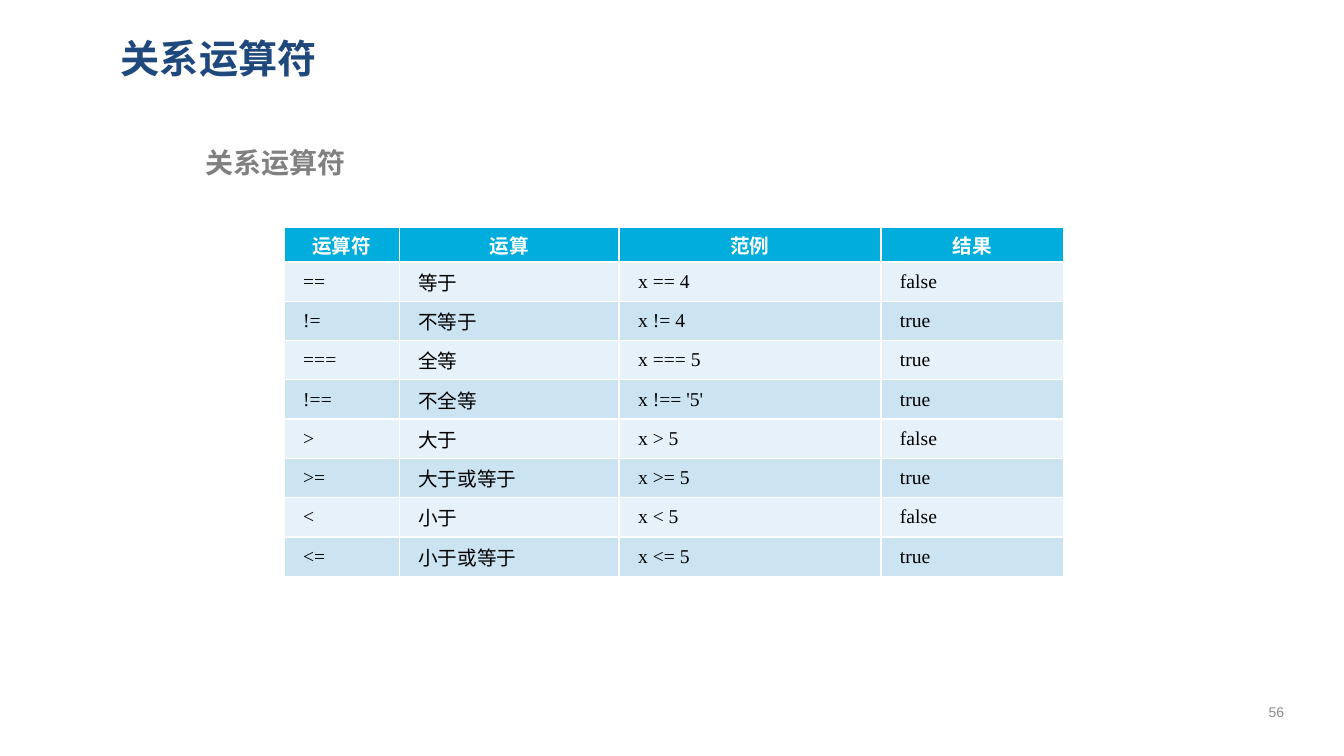
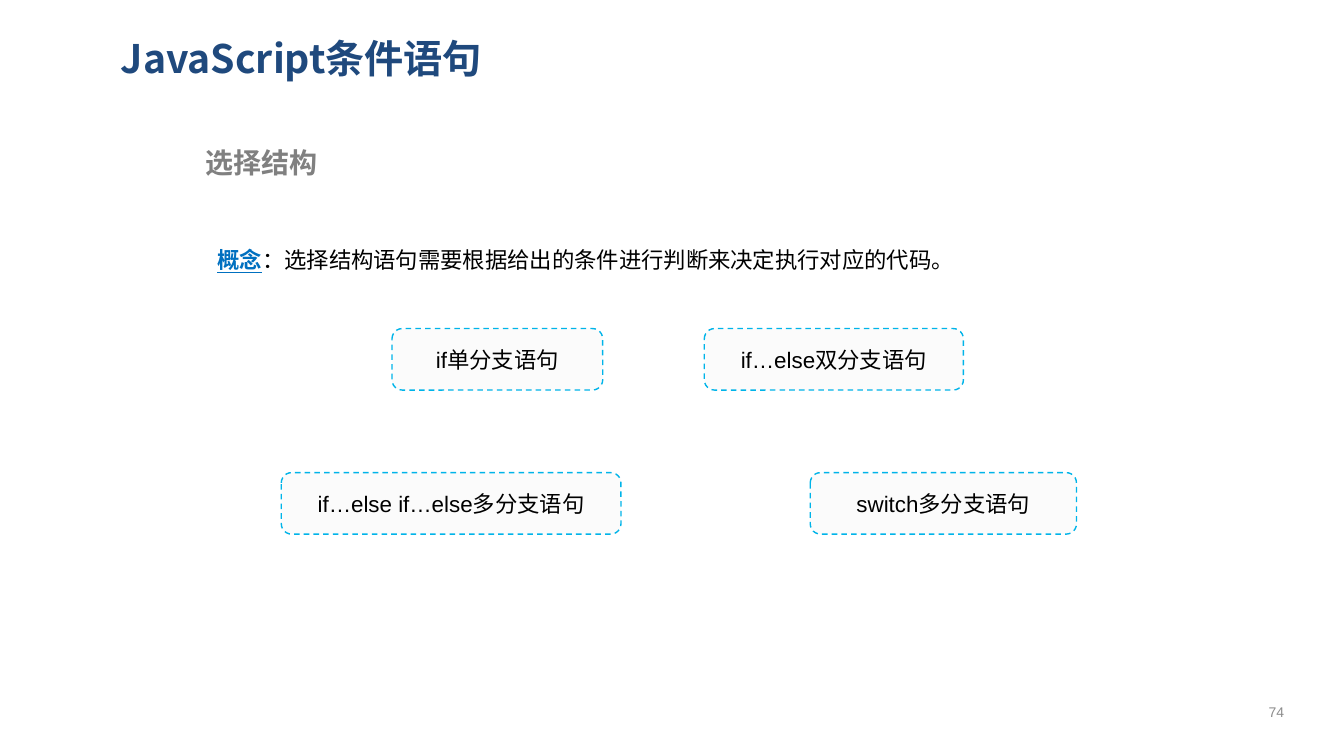
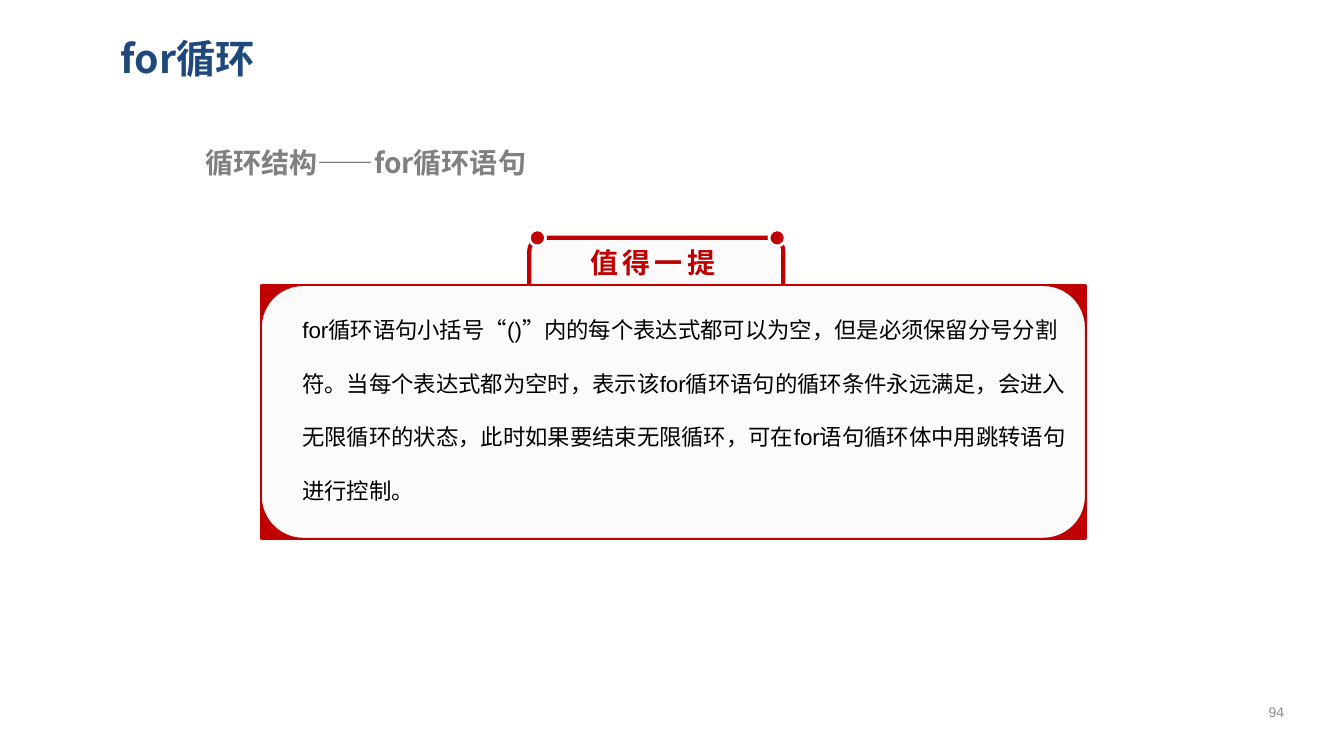
"""Build three lecture slides on operators, branches and loops."""
from dataclasses import dataclass
from typing import Optional

from lxml import etree
from pptx import Presentation
from pptx import util as u
from pptx.dml.color import RGBColor
from pptx.enum import dml, shapes, text
from pptx.oxml.ns import qn

SANS, ARIAL, TIMES = "Noto Sans CJK SC", "Arial", "Times New Roman"
NAVY, GREY, PALE = "1F497D", "808080", "8C8C8C"
WHITE, BLACK, PAPER = "FFFFFF", "000000", "FBFBFB"
CYAN, SKY, BLUE, RED = "00ADDC", "00B4E9", "0070C0", "C00000"
BANDS = ("E7F1F9", "CCE3F2")

KIND = shapes.MSO_SHAPE
ALIGN = text.PP_ALIGN
MID = text.MSO_ANCHOR.MIDDLE

HEADS = ("运算符", "运算", "范例", "结果")
ROWS = (
    ("==", "等于", "x == 4", "false"),
    ("!=", "不等于", "x != 4", "true"),
    ("===", "全等", "x === 5", "true"),
    ("!==", "不全等", "x !== '5'", "true"),
    (">", "大于", "x > 5", "false"),
    (">=", "大于或等于", "x >= 5", "true"),
    ("<", "小于", "x < 5", "false"),
    ("<=", "小于或等于", "x <= 5", "true"),
)
COLS = (2.9, 5.54, 6.6, 4.6)
HEAD_H, ROW_H = 0.86, 0.99

NOTE = (
    "for循环语句小括号“()”内的每个表达式都可以为空，但是必须保留分号分割符。"
    "当每个表达式都为空时，表示该for循环语句的循环条件永远满足，会进入无限循环的状态，"
    "此时如果要结束无限循环，可在for语句循环体中用跳转语句进行控制。"
)


@dataclass(frozen=True)
class Box:
    """A place on the slide, in centimetres."""
    x: float
    y: float
    w: float
    h: float

    def cm(self) -> tuple:
        """Return left, top, width and height as lengths."""
        return u.Cm(self.x), u.Cm(self.y), u.Cm(self.w), u.Cm(self.h)


@dataclass(frozen=True)
class Form:
    """A filled shape with its outline."""
    kind: KIND
    box: Box
    fill: str
    line: str
    width: float = 1
    dash: bool = False


@dataclass(frozen=True)
class Pill:
    """A labelled kind of branch."""
    label: str
    x: float
    y: float
    w: float


TITLE = Box(2.79, 0.61, 29.59, 1.7)
TOPIC = Box(4.93, 3.53, 23.42, 1.12)
PAGE = Box(31.34, 17.42, 1.65, 1.02)
GRID = Box(7.16, 5.74, sum(COLS), HEAD_H + ROW_H * len(ROWS))
FRAME = Box(6.58, 7.19, 20.78, 6.38)
PILL_H, UPPER, LOWER = 1.55, 8.28, 11.91
DOT = 0.41

PILLS = (
    Pill("if单分支语句", 9.88, UPPER, 5.31),
    Pill("if…else双分支语句", 17.75, UPPER, 6.53),
    Pill("if…else if…else多分支语句", 7.09, LOWER, 8.56),
    Pill("switch多分支语句", 20.42, LOWER, 6.71),
)
FORMS = (
    Form(KIND.ROUNDED_RECTANGLE, Box(13.34, 5.99, 6.4, 2.01), PAPER, RED, 3),
    Form(KIND.FLOWCHART_PROCESS, FRAME, RED, RED, 2),
    Form(KIND.FLOWCHART_ALTERNATE_PROCESS, FRAME, PAPER, RED),
    *(Form(KIND.OVAL, Box(x, 5.79, DOT, DOT), RED, WHITE, 2)
      for x in (13.34, 19.38)),
)


def hue(code: str) -> RGBColor:
    """Turn a hex string into a colour."""
    return RGBColor.from_string(code)


def put(frame, words: str, *, font: str = ARIAL, size: float = 16,
        tint: str = BLACK, bold: bool = False, under: bool = False,
        align: ALIGN = ALIGN.LEFT, lead: float = 1.0,
        track: Optional[int] = None) -> None:
    """Add a formatted run to the first paragraph of a frame."""
    para = frame.paragraphs[0]
    para.alignment = align
    para.line_spacing = lead
    para.space_before = u.Pt(0)
    run = para.add_run()
    run.text = words
    face = run.font
    face.name, face.size = font, u.Pt(size)
    face.bold, face.underline = bold, under
    face.color.rgb = hue(tint)
    props = run._r.get_or_add_rPr()
    etree.SubElement(props, qn("a:ea")).set("typeface", SANS)
    if track:
        props.set("spc", str(track * 100))


def place(item, box: Box, anchor: text.MSO_ANCHOR):
    """Move a text shape and return its prepared frame."""
    item.left, item.top, item.width, item.height = box.cm()
    frame = item.text_frame
    frame.auto_size = text.MSO_AUTO_SIZE.NONE
    frame.word_wrap = True
    frame.vertical_anchor = anchor
    return frame


def area(slide, box: Box, anchor: text.MSO_ANCHOR = text.MSO_ANCHOR.TOP):
    """Add a text box and return its frame."""
    return place(slide.shapes.add_textbox(*box.cm()), box, anchor)


def draw(slide, form: Form):
    """Draw a shape and return it."""
    item = slide.shapes.add_shape(form.kind, *form.box.cm())
    item.shadow.inherit = False
    item.fill.solid()
    item.fill.fore_color.rgb = hue(form.fill)
    item.line.color.rgb = hue(form.line)
    item.line.width = u.Pt(form.width)
    if form.dash:
        item.line.dash_style = dml.MSO_LINE.DASH
    return item


def start(deck, title: str, topic: str, page: int):
    """Add a slide with its title, topic and page number."""
    slide = deck.slides.add_slide(deck.slide_layouts[0])
    head, sub = slide.placeholders
    put(place(head, TITLE, MID), title,
        font=SANS, size=28, tint=NAVY, bold=True)
    put(place(sub, TOPIC, text.MSO_ANCHOR.TOP), topic,
        font=SANS, size=20, tint=GREY, bold=True)
    put(area(slide, PAGE, MID), str(page),
        size=10, tint=PALE, align=ALIGN.CENTER)
    return slide


def fill_cell(cell, words: str, shade: str, pad: float, **style) -> None:
    """Fill a table cell with colour and text."""
    cell.fill.solid()
    cell.fill.fore_color.rgb = hue(shade)
    cell.vertical_anchor = MID
    cell.margin_left, cell.margin_right = u.Cm(pad), u.Cm(0.2)
    cell.margin_top = cell.margin_bottom = 0
    put(cell.text_frame, words, size=14, **style)


def compare(deck) -> None:
    """Build the slide of relational operators."""
    slide = start(deck, "关系运算符", "关系运算符", 56)
    table = slide.shapes.add_table(
        len(ROWS) + 1, len(COLS), *GRID.cm()).table
    for col, width in zip(table.columns, COLS):
        col.width = u.Cm(width)
    for i, row in enumerate((HEADS, *ROWS)):
        table.rows[i].height = u.Cm(ROW_H if i else HEAD_H)
        for j, words in enumerate(row):
            cell = table.cell(i, j)
            if i:
                fill_cell(cell, words, BANDS[(i - 1) % 2], 0.48, font=TIMES)
            else:
                fill_cell(cell, words, CYAN, 0.2, tint=WHITE, bold=True,
                          align=ALIGN.CENTER)


def branch(deck) -> None:
    """Build the slide of conditional statements."""
    slide = start(deck, "JavaScript条件语句", "选择结构", 74)
    frame = area(slide, Box(5.23, 5.41, 23.34, 1.55))
    put(frame, "概念", tint=BLUE, bold=True, under=True, lead=2.0)
    put(frame, "：选择结构语句需要根据给出的条件进行判断来决定执行对应的代码。",
        lead=2.0)
    for pill in PILLS:
        box = Box(pill.x, pill.y, pill.w, PILL_H)
        item = draw(slide, Form(KIND.ROUNDED_RECTANGLE, box, PAPER, SKY,
                                dash=True))
        put(place(item, box, MID), pill.label, align=ALIGN.CENTER)


def loop(deck) -> None:
    """Build the slide of the for loop."""
    slide = start(deck, "for循环", "循环结构——for循环语句", 94)
    for form in FORMS:
        draw(slide, form)
    label = area(slide, Box(14.63, 6.07, 3.81, 1.12))
    label.word_wrap = False
    put(label, "值得一提", font=SANS, size=20, tint=RED, bold=True, track=3)
    put(area(slide, Box(7.37, 7.16, 19.96, 6.4)), NOTE, lead=2.0)


def main() -> None:
    """Build and save the slides."""
    deck = Presentation()
    deck.slide_width, deck.slide_height = u.Cm(33.87), u.Cm(19.05)
    for build in (compare, branch, loop):
        build(deck)
    deck.save("out.pptx")


if __name__ == "__main__":
    main()
